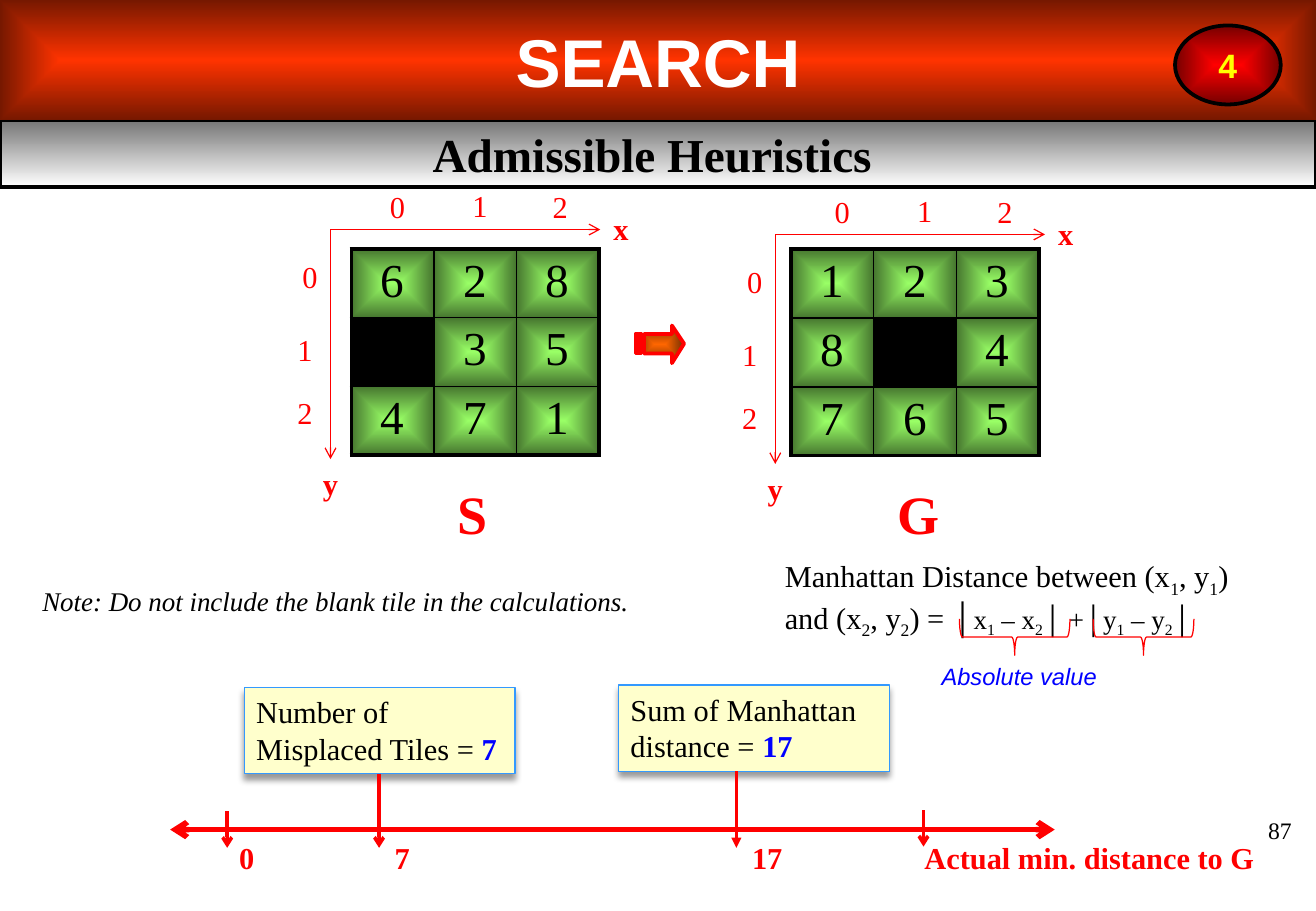
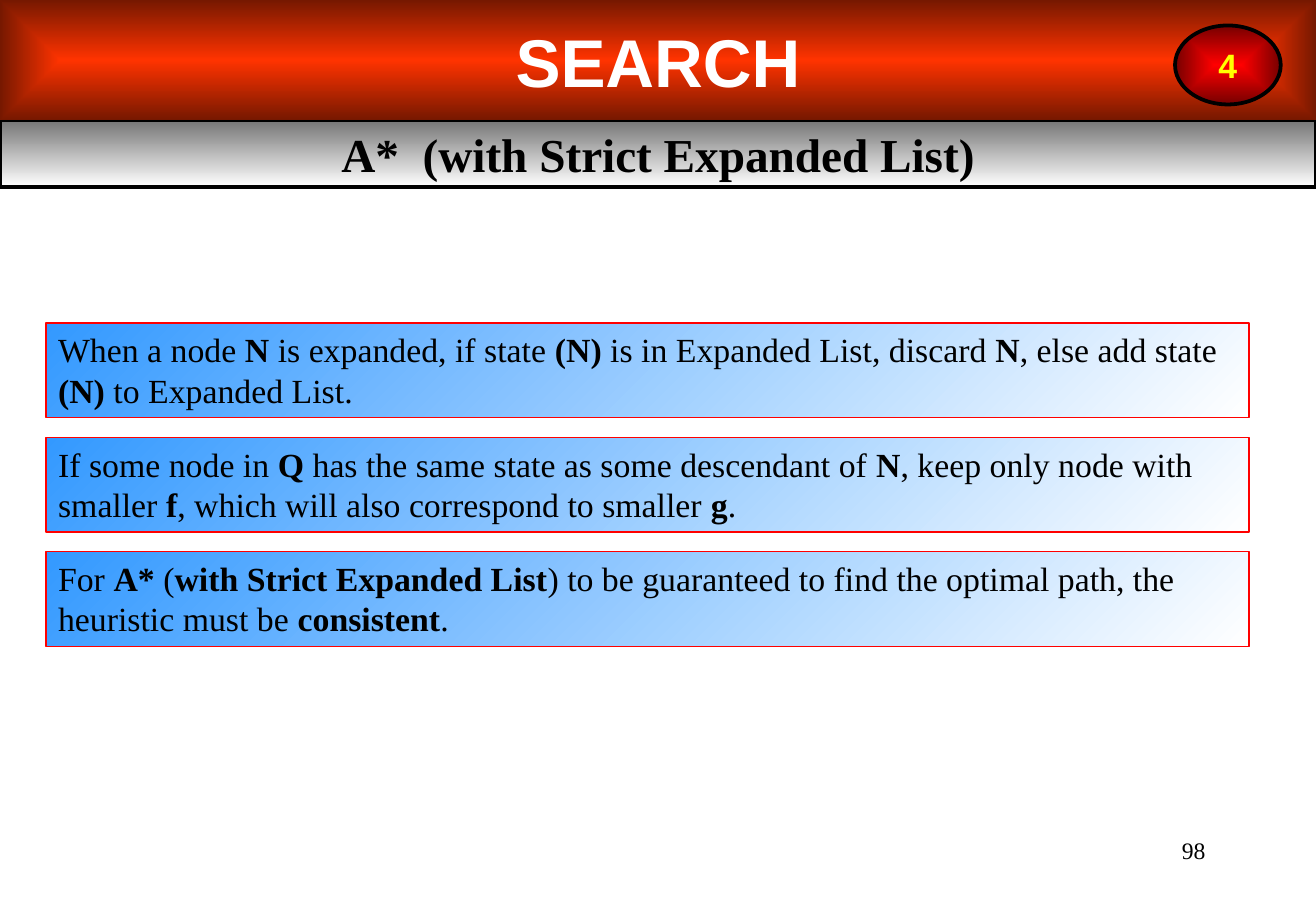
"""Build two slides on search: admissible heuristics and A* with a strict expanded list."""
import dataclasses
import typing

import pptx
import pptx.dml.color
import pptx.enum.shapes
import pptx.enum.text
import pptx.oxml
import pptx.oxml.ns
import pptx.util

SCALE = 9144
KIND = pptx.enum.shapes.MSO_SHAPE
ALIGN = pptx.enum.text.PP_ALIGN
ANCHOR = pptx.enum.text.MSO_ANCHOR
FIT = pptx.enum.text.MSO_AUTO_SIZE
Format = dict[str, typing.Any]


@dataclasses.dataclass(frozen=True)
class Theme:
    serif: str = "Times New Roman"
    sans: str = "Arial"
    black: str = "000000"
    white: str = "FFFFFF"
    red: str = "FF0000"
    blue: str = "0000FF"
    yellow: str = "FFFF00"
    cream: str = "FFFFCC"
    sky: str = "3399FF"
    band: tuple[str, str] = ("FF3300", "761800")
    strip: tuple[str, str] = ("767676", "FFFFFF")
    badge: tuple[str, str] = ("FF0000", "760000")
    tile: tuple[str, str] = ("99FF66", "46762F")
    arrow: tuple[str, str] = ("FF6600", "762F00")
    rule: tuple[str, str] = ("3399FF", "FFFFFF")
    huge: int = 40
    mark: int = 32
    head: int = 28
    large: int = 20
    text: int = 18
    note: int = 16
    small: int = 14
    thick: float = 2.25
    thin: float = 0.75


T = Theme()


class Box(typing.NamedTuple):
    x: int
    y: int
    w: int
    h: int


class Label(typing.NamedTuple):
    text: str
    x: int
    y: int
    bold: bool = False
    w: int = 33


class Line(typing.NamedTuple):
    x1: int
    y1: int
    x2: int
    y2: int
    width: float = 2
    tail: str = "arrow"
    head: str = ""


class Board(typing.NamedTuple):
    name: str
    left: int
    wide: int
    axis: tuple[int, int]
    rows: tuple[str, ...]


class Card(typing.NamedTuple):
    box: Box
    text: str


BOARDS = (
    Board("S", 289, 45, (272, 189), ("628", " 35", "471")),
    Board("G", 651, 55, (638, 193), ("123", "8 4", "765")),
)
TICKS = (
    Label("x", 223, -21, True), Label("y", -16, 189, True),
    Label("0", 39, -39), Label("1", 107, -40), Label("2", 173, -39),
    Label("0", -33, 19), Label("1", -37, 79), Label("2", -37, 131),
)
CARDS = (
    Card(Box(509, 564, 223, 71), "Sum of Manhattan distance = |17"),
    Card(Box(201, 566, 223, 71), "Number of Misplaced Tiles = |7"),
)
SCALE_LINES = (
    Line(140, 683, 868, 683, 3.25, head="arrow"),
    Line(606, 635, 606, 698, tail="triangle"),
    Line(312, 637, 312, 698),
    Line(187, 668, 187, 698),
    Line(760, 667, 760, 697),
)
SCALE_MARKS = (
    Label("0", 187, 686, True), Label("7", 315, 686, True),
    Label("17", 609, 686, True, 45),
    Label("Actual min. distance to G", 751, 686, True, 294),
)
ARROW = (
    ((553, 268), (553, 275), (530, 275), (530, 291), (553, 291), (553, 299), (563, 283)),
    ((526, 275), (526, 291), (528, 291), (528, 275)),
    ((523, 275), (523, 291), (525, 291), (525, 275)),
)
RULES = (
    "When a node |N| is expanded, if state |(N)| is in Expanded List, discard |N|"
    ", else add state |(N) |to Expanded List.",
    "If some node in |Q| has the same state as some descendant of |N|"
    ", keep only node with smaller |f|, which will also correspond to smaller |g|.",
    "For |A*| (|with Strict Expanded List|) to be guaranteed to find the optimal path, "
    "the heuristic must be |consistent|.",
)


def px(count: float) -> int:
    return int(count * SCALE)


def rgb(code: str) -> pptx.dml.color.RGBColor:
    return pptx.dml.color.RGBColor.from_string(code)


def node(code: str) -> typing.Any:
    head, mark, rest = code.partition(" ")
    return pptx.oxml.parse_xml(f"{head} {pptx.oxml.ns.nsdecls('a')} {rest}")


def apply(item: typing.Any, values: Format) -> None:
    for key, value in values.items():
        setattr(item, key, value)


def style(size: int, color: str = T.black, name: str = T.serif, **more: typing.Any) -> Format:
    return {"size": pptx.util.Pt(size), "name": name, "color": color, **more}


def write(frame: typing.Any, text: str, base: Format, other: Format | None = None,
          align: typing.Any = ALIGN.LEFT) -> None:
    para = frame.paragraphs[0]
    para.alignment = align
    for spot, part in enumerate(text.split("|")):
        if not part:
            continue
        values = {**base, **(other or {})} if spot % 2 else dict(base)
        color, shift = values.pop("color"), values.pop("shift", None)
        run = para.add_run()
        run.text = part
        apply(run.font, values)
        run.font.color.rgb = rgb(color)
        if shift:
            run._r.get_or_add_rPr().set("baseline", str(shift))


def shade(item: typing.Any, root: typing.Any, pair: tuple[str, str],
          angle: int | None = None, form: str = "shape") -> None:
    item.fill.gradient()
    for stop, code in zip(item.fill.gradient_stops, pair):
        stop.color.rgb = rgb(code)
    if angle is not None:
        item.fill.gradient_angle = 360 - angle
        return
    lin = next(root.iter(pptx.oxml.ns.qn("a:lin")))
    lin.getparent().replace(lin, node(
        f'<a:path path="{form}"><a:fillToRect l="50000" t="50000" r="50000" b="50000"/></a:path>'))


def edge(line: typing.Any, color: str, width: float) -> None:
    line.color.rgb = rgb(color)
    line.width = pptx.util.Pt(width)


def form(slide: typing.Any, kind: typing.Any, box: Box, anchor: typing.Any = ANCHOR.MIDDLE) -> typing.Any:
    shape = slide.shapes.add_shape(kind, *map(px, box))
    shape.shadow.inherit = False
    apply(shape.text_frame, {"word_wrap": True, "vertical_anchor": anchor})
    return shape


def label(slide: typing.Any, box: Box, text: str, base: Format,
          wrap: bool = False, align: typing.Any = ALIGN.LEFT) -> typing.Any:
    frame = slide.shapes.add_textbox(*map(px, box)).text_frame
    apply(frame, {"word_wrap": wrap, "auto_size": FIT.NONE if wrap else FIT.SHAPE_TO_FIT_TEXT})
    write(frame, text, base, {"shift": -25000}, align)
    return frame


def marks(slide: typing.Any, items: tuple[Label, ...], x: int = 0, y: int = 0) -> None:
    for item in items:
        label(slide, Box(x + item.x, y + item.y, item.w, 40), item.text,
              style(T.text, T.red, bold=item.bold))


def stroke(slide: typing.Any, line: Line) -> None:
    link = slide.shapes.add_connector(
        pptx.enum.shapes.MSO_CONNECTOR.STRAIGHT, *map(px, line[:4]))
    edge(link.line, T.red, line.width)
    for tag, kind in (("headEnd", line.head), ("tailEnd", line.tail)):
        if kind:
            link.line._get_or_add_ln().append(node(f'<a:{tag} type="{kind}"/>'))
    link._element.spPr.append(node("<a:effectLst />"))


def start(deck: typing.Any, title: str, number: str, spot: Box) -> typing.Any:
    slide = deck.slides.add_slide(deck.slide_layouts[5])
    strip = slide.shapes.title
    apply(strip, dict(zip(("left", "top", "width", "height"), map(px, (0, 99, 1083, 55)))))
    shade(strip, strip._element.spPr, T.strip, 90)
    edge(strip.line, T.black, T.thick)
    apply(strip.text_frame, {"auto_size": FIT.NONE, "vertical_anchor": ANCHOR.MIDDLE})
    write(strip.text_frame, title, style(T.head, bold=True), align=ALIGN.CENTER)
    band = form(slide, KIND.RECTANGLE, Box(0, 0, 1083, 99))
    shade(band, band._element.spPr, T.band)
    band.line.fill.background()
    write(band.text_frame, "SEARCH", style(T.huge, T.white, T.sans, bold=True), align=ALIGN.CENTER)
    badge = form(slide, KIND.OVAL, Box(967, 21, 87, 65))
    shade(badge, badge._element.spPr, T.badge)
    edge(badge.line, T.black, T.thick)
    write(badge.text_frame, "4", style(T.large, T.yellow, T.sans, bold=True), align=ALIGN.CENTER)
    label(slide, spot, number, style(T.small), True, ALIGN.RIGHT)
    return slide


def puzzle(slide: typing.Any, board: Board) -> None:
    grid = slide.shapes.add_table(3, 3, *map(px, (board.left, 205, 204, 170))).table
    apply(grid, {"first_row": False, "horz_banding": False})
    for row, digits in enumerate(board.rows):
        grid.rows[row].height = px(56.5)
        for col, digit in enumerate(digits):
            cell = grid.cell(row, col)
            props = cell._tc.get_or_add_tcPr()
            outer = {"L": col == 0, "R": col == 2, "T": row == 0, "B": row == 2}
            for side, bold in outer.items():
                width = pptx.util.Pt(T.thick if bold else 1)
                props.append(node(f'<a:ln{side} w="{width}"><a:solidFill><a:srgbClr val="{T.black}"/>'
                                  f'</a:solidFill></a:ln{side}>'))
            if digit == " ":
                cell.fill.solid()
                cell.fill.fore_color.rgb = rgb(T.black)
            else:
                shade(cell, props, T.tile)
                write(cell.text_frame, digit, style(T.head), align=ALIGN.CENTER)
    label(slide, Box(board.left + 77, 391, board.wide, 63), board.name,
          style(T.mark, T.red, bold=True), align=ALIGN.CENTER)
    x, y = board.axis
    for right, down in ((222, 0), (0, 189)):
        stroke(slide, Line(x, y, x + right, y + down, T.thin))
    marks(slide, TICKS, x, y)


def arrow(slide: typing.Any) -> None:
    first, *rest = ARROW
    build = slide.shapes.build_freeform(*first[0], scale=SCALE)
    build.add_line_segments(first[1:], close=True)
    for part in rest:
        build.move_to(*part[0])
        build.add_line_segments(part[1:], close=True)
    shape = build.convert_to_shape()
    shape.shadow.inherit = False
    shade(shape, shape._element.spPr, T.arrow, form="rect")
    edge(shape.line, T.red, T.thick)


def callout(slide: typing.Any, card: Card) -> None:
    shape = form(slide, KIND.RECTANGLE, card.box, ANCHOR.TOP)
    shape.fill.solid()
    shape.fill.fore_color.rgb = rgb(T.cream)
    edge(shape.line, T.sky, T.thin)
    shape._element.spPr.find(pptx.oxml.ns.qn("a:effectLst")).append(node(
        '<a:outerShdw blurRad="50800" dist="38100" dir="5400000" rotWithShape="0">'
        f'<a:srgbClr val="{T.black}"><a:alpha val="40000"/></a:srgbClr></a:outerShdw>'))
    write(shape.text_frame, card.text, style(T.text), {"bold": True, "color": T.blue})


def first(deck: typing.Any) -> None:
    slide = start(deck, "Admissible Heuristics ", "87", Box(847, 667, 226, 50))
    for board in BOARDS:
        puzzle(slide, board)
    arrow(slide)
    frame = label(slide, Box(636, 454, 421, 71),
                  "Manhattan Distance between (x|1|, y|1|) and (x|2|, y|2|) = │", style(T.text), True)
    write(frame, "x|1| – x|2|│ +│y|1| – y|2|│", style(T.note), {"shift": -25000})
    for box in (Box(820, 479, 30, 91), Box(926, 483, 30, 83)):
        brace = form(slide, KIND.RIGHT_BRACE, box)
        brace.rotation = 90
        brace.fill.background()
        edge(brace.line, T.red, T.thin)
    label(slide, Box(765, 540, 149, 34), "Absolute value",
          style(T.small, T.blue, T.sans, italic=True))
    label(slide, Box(25, 476, 510, 37),
          "Note: Do not include the blank tile in the calculations.", style(T.note, italic=True))
    for card in CARDS:
        callout(slide, card)
    for line in SCALE_LINES:
        stroke(slide, line)
    marks(slide, SCALE_MARKS)


def second(deck: typing.Any) -> None:
    slide = start(deck, "A*  (with Strict Expanded List)", "98", Box(776, 683, 226, 50))
    for row, text in enumerate(RULES):
        shape = form(slide, KIND.RECTANGLE, Box(38, 266 + 94 * row, 990, 78), ANCHOR.TOP)
        shade(shape, shape._element.spPr, T.rule, 45)
        edge(shape.line, T.red, T.thin)
        write(shape.text_frame, text, style(T.large), {"bold": True})


def main() -> None:
    deck = pptx.Presentation()
    apply(deck, {"slide_width": px(1083), "slide_height": px(750)})
    first(deck)
    second(deck)
    deck.save("out.pptx")


if __name__ == "__main__":
    main()
